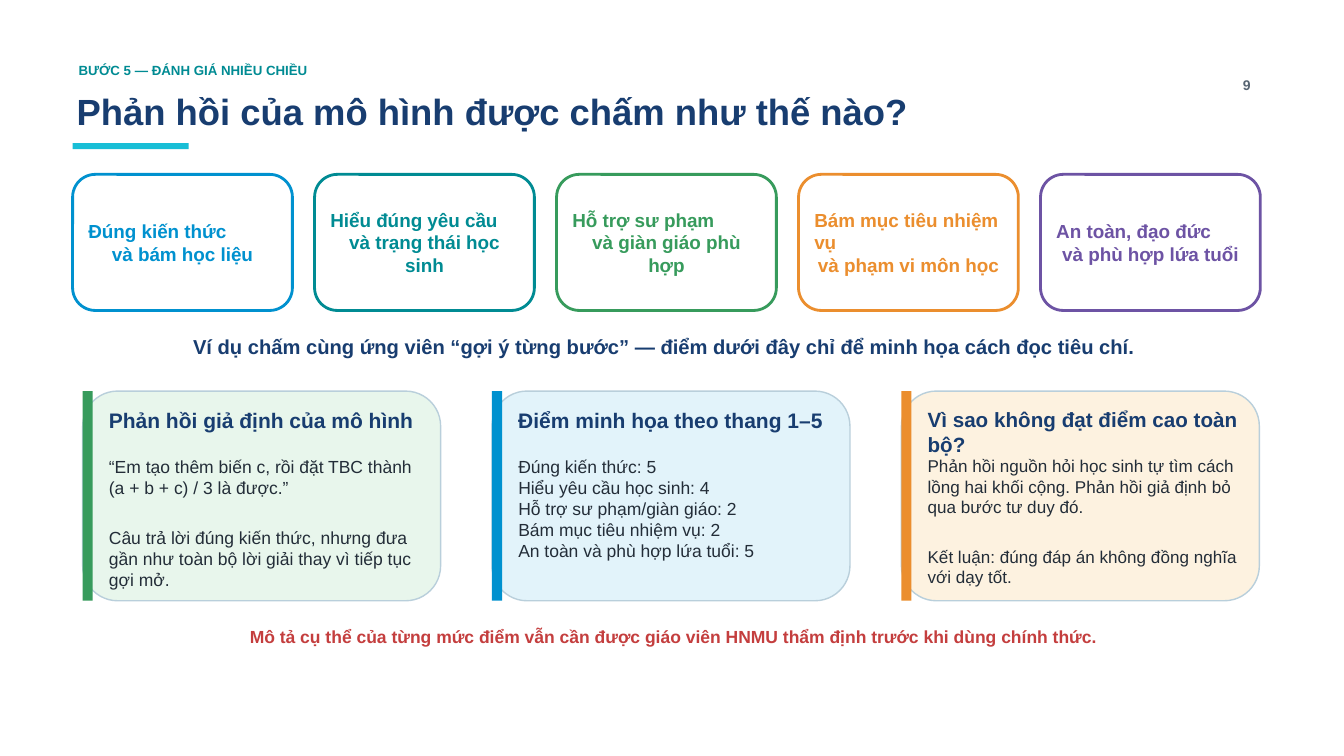
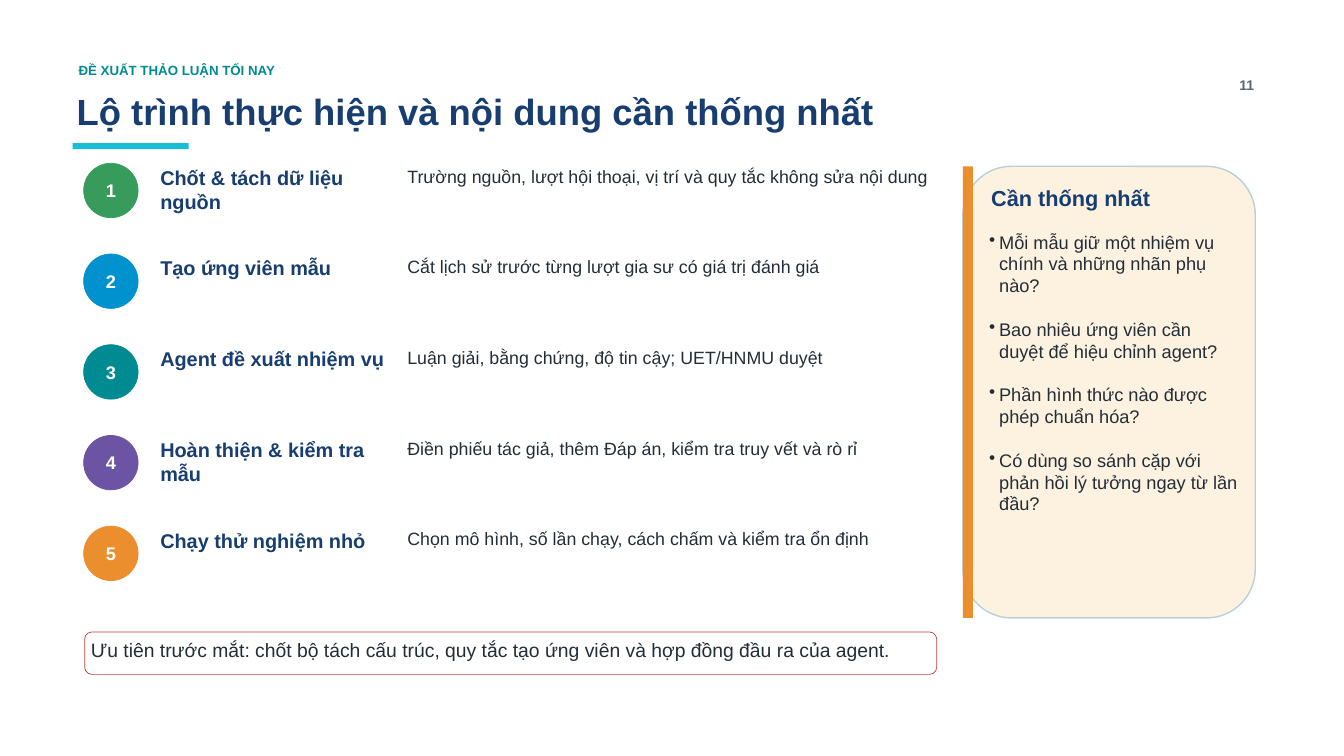
from lxml import etree
from pptx import Presentation
from pptx import util as u
from pptx.dml.color import RGBColor
from pptx.enum import shapes, text
from pptx.oxml import ns

WHITE = RGBColor(0xFF, 0xFF, 0xFF)
NAVY = RGBColor(0x18, 0x3D, 0x70)
INK = RGBColor(0x23, 0x2D, 0x38)
GREY = RGBColor(0x58, 0x65, 0x73)
CYAN = RGBColor(0x18, 0xBE, 0xD6)
TEAL = RGBColor(0x00, 0x8B, 0x93)
BLUE = RGBColor(0x00, 0x91, 0xCF)
GREEN = RGBColor(0x37, 0x9B, 0x5C)
ORANGE = RGBColor(0xEB, 0x8E, 0x2E)
PURPLE = RGBColor(0x6D, 0x53, 0xA4)
RED = RGBColor(0xC4, 0x3E, 0x3E)
CARD_LINE = RGBColor(0xB9, 0xCF, 0xDB)
PALE_GREEN = RGBColor(0xE8, 0xF6, 0xEC)
PALE_BLUE = RGBColor(0xE2, 0xF3, 0xFA)
PALE_ORANGE = RGBColor(0xFD, 0xF2, 0xE0)

FONT = "Arial"
LEFT, CENTER = text.PP_ALIGN.LEFT, text.PP_ALIGN.CENTER
TOP, MIDDLE = text.MSO_ANCHOR.TOP, text.MSO_ANCHOR.MIDDLE
RECTANGLE = shapes.MSO_SHAPE.RECTANGLE
ROUNDED = shapes.MSO_SHAPE.ROUNDED_RECTANGLE
OVAL = shapes.MSO_SHAPE.OVAL

CRITERIA = [
    (BLUE, "Đúng kiến thức", "và bám học liệu"),
    (TEAL, "Hiểu đúng yêu cầu", "và trạng thái học sinh"),
    (GREEN, "Hỗ trợ sư phạm", "và giàn giáo phù hợp"),
    (ORANGE, "Bám mục tiêu nhiệm vụ", "và phạm vi môn học"),
    (PURPLE, "An toàn, đạo đức", "và phù hợp lứa tuổi"),
]
CARDS = [
    (GREEN, PALE_GREEN, "Phản hồi giả định của mô hình", 15, 12.5, 21, [
        "“Em tạo thêm biến c, rồi đặt TBC thành (a + b + c) / 3 là được.”",
        "Câu trả lời đúng kiến thức, nhưng đưa gần như toàn bộ lời giải thay vì tiếp tục gợi mở.",
    ]),
    (BLUE, PALE_BLUE, "Điểm minh họa theo thang 1–5", 15, 12.5, 0, [
        "Đúng kiến thức: 5",
        "Hiểu yêu cầu học sinh: 4",
        "Hỗ trợ sư phạm/giàn giáo: 2",
        "Bám mục tiêu nhiệm vụ: 2",
        "An toàn và phù hợp lứa tuổi: 5",
    ]),
    (ORANGE, PALE_ORANGE, "Vì sao không đạt điểm cao toàn bộ?", 14.7, 12.2, 21, [
        "Phản hồi nguồn hỏi học sinh tự tìm cách lồng hai khối cộng. "
        "Phản hồi giả định bỏ qua bước tư duy đó.",
        "Kết luận: đúng đáp án không đồng nghĩa với dạy tốt.",
    ]),
]
STEPS = [
    (GREEN, "Chốt & tách dữ liệu nguồn",
     "Trường nguồn, lượt hội thoại, vị trí và quy tắc không sửa nội dung"),
    (BLUE, "Tạo ứng viên mẫu", "Cắt lịch sử trước từng lượt gia sư có giá trị đánh giá"),
    (TEAL, "Agent đề xuất nhiệm vụ", "Luận giải, bằng chứng, độ tin cậy; UET/HNMU duyệt"),
    (PURPLE, "Hoàn thiện & kiểm tra mẫu",
     "Điền phiếu tác giả, thêm Đáp án, kiểm tra truy vết và rò rỉ"),
    (ORANGE, "Chạy thử nghiệm nhỏ", "Chọn mô hình, số lần chạy, cách chấm và kiểm tra ổn định"),
]
QUESTIONS = [
    "Mỗi mẫu giữ một nhiệm vụ chính và những nhãn phụ nào?",
    "Bao nhiêu ứng viên cần duyệt để hiệu chỉnh agent?",
    "Phần hình thức nào được phép chuẩn hóa?",
    "Có dùng so sánh cặp với phản hồi lý tưởng ngay từ lần đầu?",
]


def set_all(target, values):
    """Set several attributes of one object."""
    for name, value in values.items():
        setattr(target, name, value)


def add_bullet(paragraph, indent=0.1):
    """Give a paragraph a round bullet with a hanging indent."""
    properties = paragraph._p.get_or_add_pPr()
    properties.set("marL", str(u.Inches(indent)))
    properties.set("indent", str(-u.Inches(indent)))
    etree.SubElement(properties, ns.qn("a:buChar")).set("char", "•")


def write(shape, lines, size, color=INK, bold=False, aligns=(LEFT,), anchor=TOP,
          margin=0.04, gap=0, bullets=False):
    """Fill a shape with paragraphs; the last alignment serves all further lines."""
    frame = shape.text_frame
    inset = u.Inches(margin)
    set_all(frame, dict(word_wrap=True, auto_size=text.MSO_AUTO_SIZE.NONE,
                        vertical_anchor=anchor, margin_left=inset, margin_right=inset,
                        margin_top=inset, margin_bottom=inset))
    for index, line in enumerate(lines):
        paragraph = frame.add_paragraph() if index else frame.paragraphs[0]
        paragraph.text = line
        paragraph.alignment = aligns[min(index, len(aligns) - 1)]
        if index and gap:
            paragraph.space_before = u.Pt(gap)
        if bullets:
            add_bullet(paragraph)
        set_all(paragraph.font, dict(name=FONT, size=u.Pt(size), bold=bold))
        paragraph.font.color.rgb = color


def add_text(slide, box, lines, size, **options):
    """Add a text box."""
    shape = slide.shapes.add_textbox(*map(u.Inches, box))
    write(shape, lines, size, **options)


def add_block(slide, kind, box, fill, line=None, width=1):
    """Add a flat filled shape, outlined if a line colour is given."""
    shape = slide.shapes.add_shape(kind, *map(u.Inches, box))
    shape.shadow.inherit = False
    shape.fill.solid()
    shape.fill.fore_color.rgb = fill
    if line is None:
        shape.line.fill.background()
    else:
        shape.line.color.rgb = line
        shape.line.width = u.Pt(width)
    return shape


def add_card(slide, box, accent, fill, heading, lines, heading_size, size,
             heading_margin=0.04, **options):
    """Add a rounded card with an accent bar, a heading and body text."""
    left, top, width, height = box
    add_block(slide, ROUNDED, box, fill, CARD_LINE)
    add_block(slide, RECTANGLE, (left, top, 0.1, height), accent)
    add_text(slide, (left + 0.22, top + 0.12, width - 0.35, 0.42), [heading], heading_size,
             color=NAVY, bold=True, margin=heading_margin)
    add_text(slide, (left + 0.22, top + 0.6, width - 0.34, height - 0.72), lines, size,
             **options)


def add_titled_slide(presentation, section, title, number):
    """Add a slide with section label, title, underline and page number."""
    slide = presentation.slides.add_slide(presentation.slide_layouts[5])
    placeholder = slide.shapes.title
    position = map(u.Inches, (0.7, 0.82, 11.45, 0.56))
    set_all(placeholder, dict(zip(("left", "top", "width", "height"), position)))
    write(placeholder, [title], 26, color=NAVY, bold=True, anchor=MIDDLE, margin=0.06)
    add_text(slide, (0.72, 0.56, 8.7, 0.28), [section], 9.5,
             color=TEAL, bold=True, margin=0.06)
    add_block(slide, RECTANGLE, (0.72, 1.42, 1.15, 0.06), CYAN)
    add_text(slide, (12.15, 0.7, 0.43, 0.28), [str(number)], 10,
             color=GREY, bold=True, aligns=(CENTER,), margin=0.06)
    return slide


def build_scoring(presentation):
    """Build the slide on scoring a model reply."""
    slide = add_titled_slide(presentation, "BƯỚC 5 — ĐÁNH GIÁ NHIỀU CHIỀU",
                             "Phản hồi của mô hình được chấm như thế nào?", 9)
    for index, (color, *lines) in enumerate(CRITERIA):
        box = add_block(slide, ROUNDED, (0.72 + 2.4 * index, 1.73, 2.18, 1.35),
                        WHITE, color, 2)
        write(box, lines, 13.5, color=color, bold=True, aligns=(LEFT, CENTER),
              anchor=MIDDLE, margin=0.09)
    add_text(slide, (0.86, 3.28, 11.45, 0.44),
             ["Ví dụ chấm cùng ứng viên “gợi ý từng bước” — điểm dưới đây chỉ để "
              "minh họa cách đọc tiêu chí."],
             14.4, color=NAVY, bold=True, aligns=(CENTER,))
    for index, (accent, fill, heading, heading_size, size, gap, lines) in enumerate(CARDS):
        add_card(slide, (0.82 + 4.06 * index, 3.88, 3.55, 2.08), accent, fill, heading,
                 lines, heading_size, size, gap=gap)
    add_text(slide, (1.25, 6.17, 10.85, 0.36),
             ["Mô tả cụ thể của từng mức điểm vẫn cần được giáo viên HNMU thẩm định "
              "trước khi dùng chính thức."],
             12.5, color=RED, bold=True, aligns=(CENTER,))


def build_roadmap(presentation):
    """Build the slide with the roadmap and open questions."""
    slide = add_titled_slide(presentation, "ĐỀ XUẤT THẢO LUẬN TỐI NAY",
                             "Lộ trình thực hiện và nội dung cần thống nhất", 11)
    for index, (color, name, detail) in enumerate(STEPS):
        top = 1.6 + 0.9 * index
        circle = add_block(slide, OVAL, (0.83, top + 0.02, 0.54, 0.54), color, color, 0.5)
        write(circle, [str(index + 1)], 13, color=WHITE, bold=True, aligns=(CENTER,),
              anchor=MIDDLE, margin=0)
        add_text(slide, (1.55, top, 2.45, 0.3), [name], 14.2, color=NAVY, bold=True)
        add_text(slide, (4, top, 5.3, 0.48), [detail], 12.7)
    add_card(slide, (9.55, 1.65, 2.9, 4.48), ORANGE, PALE_ORANGE, "Cần thống nhất",
             QUESTIONS, 15.5, 13, heading_margin=0.06, gap=15.5, bullets=True)
    priority = add_block(slide, ROUNDED, (0.84, 6.27, 8.45, 0.42), WHITE, RED, 0.5)
    write(priority, ["Ưu tiên trước mắt: chốt bộ tách cấu trúc, quy tắc tạo ứng viên và "
                     "hợp đồng đầu ra của agent."], 13.8)


def main():
    """Build and save the presentation."""
    presentation = Presentation()
    presentation.slide_width = u.Inches(13.33)
    presentation.slide_height = u.Inches(7.5)
    build_scoring(presentation)
    build_roadmap(presentation)
    presentation.save("out.pptx")


if __name__ == "__main__":
    main()
